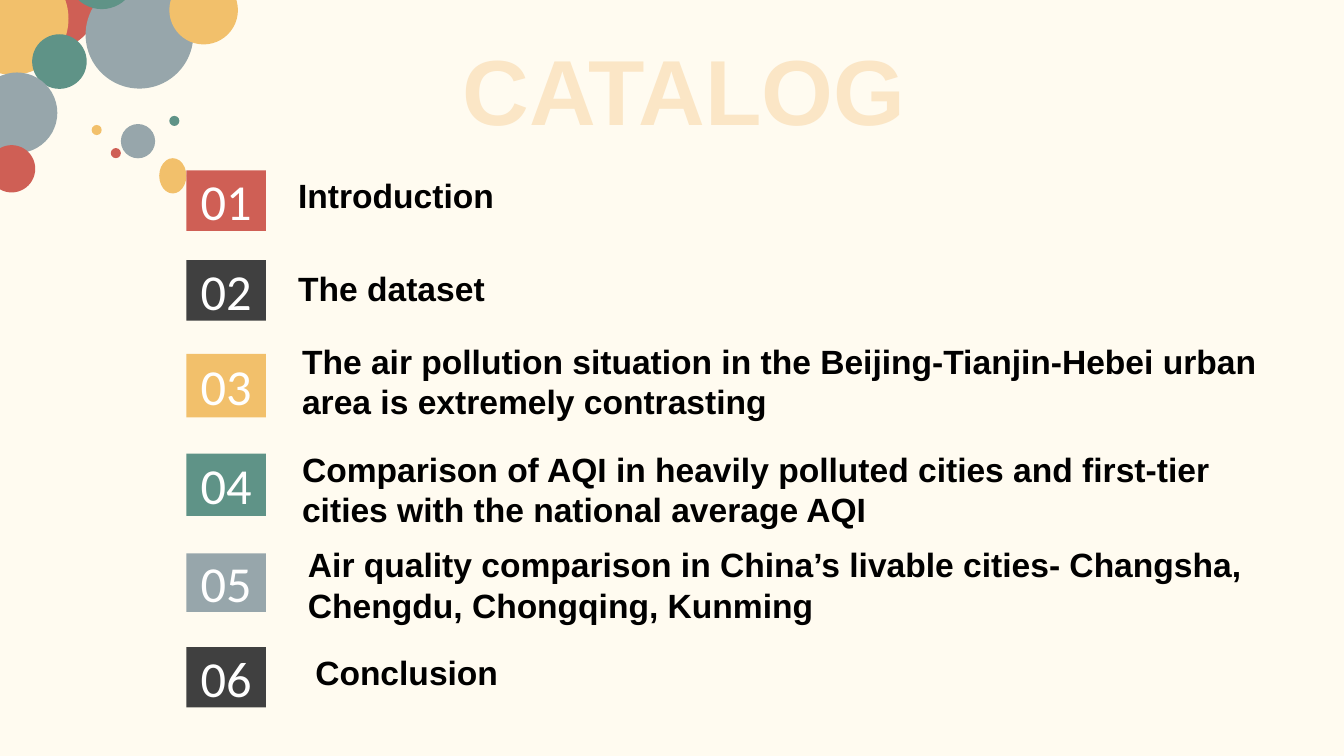
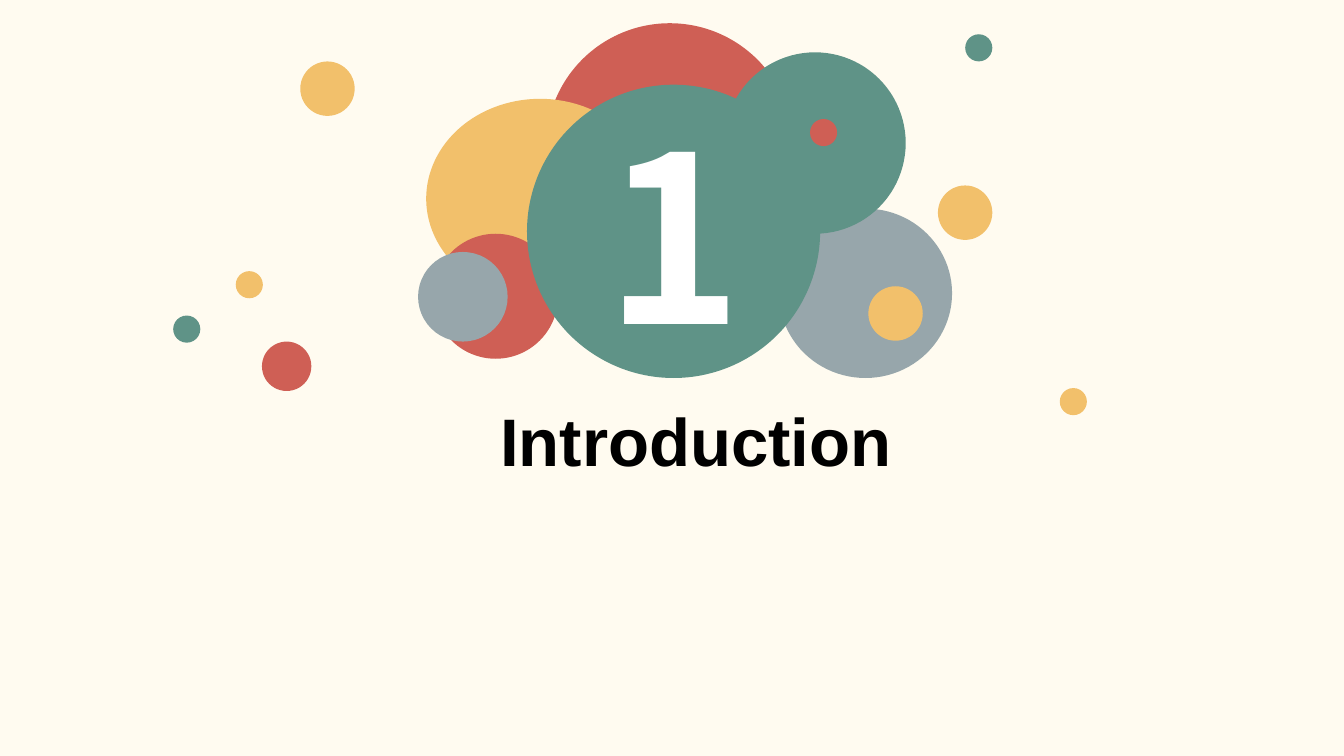
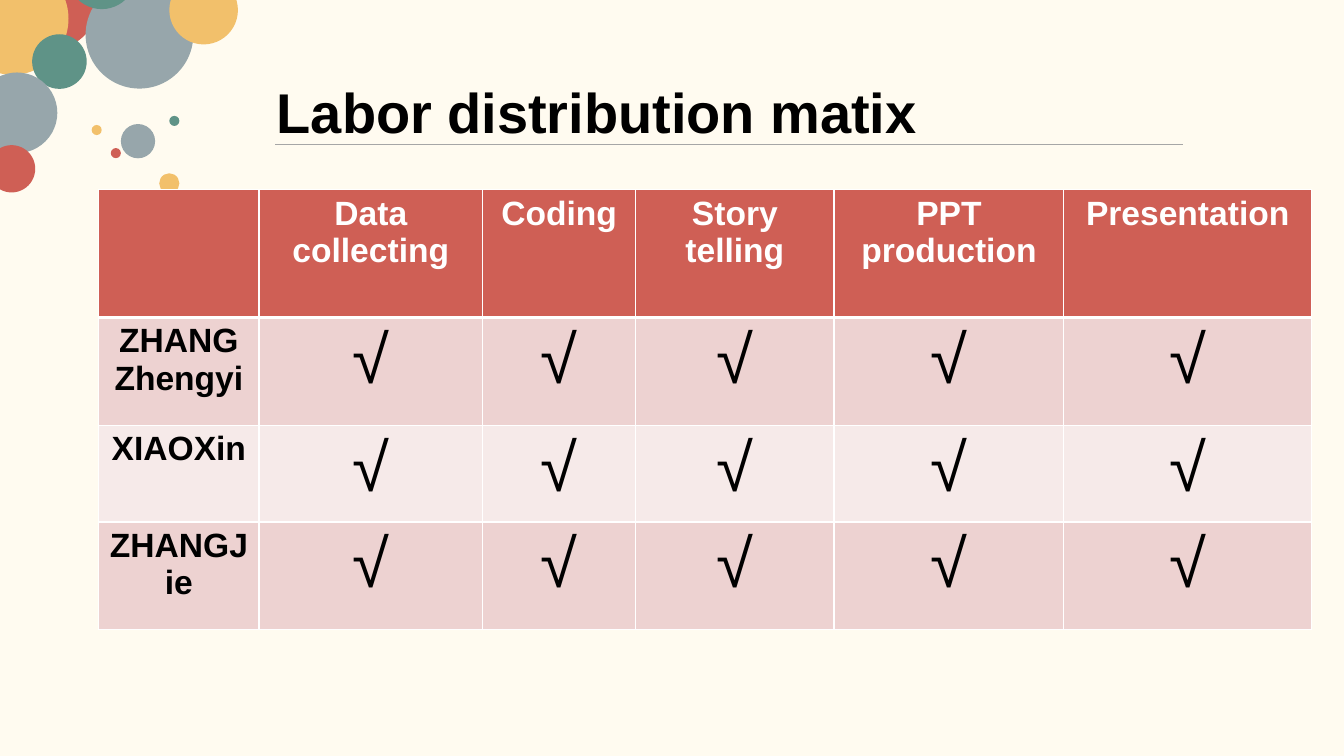
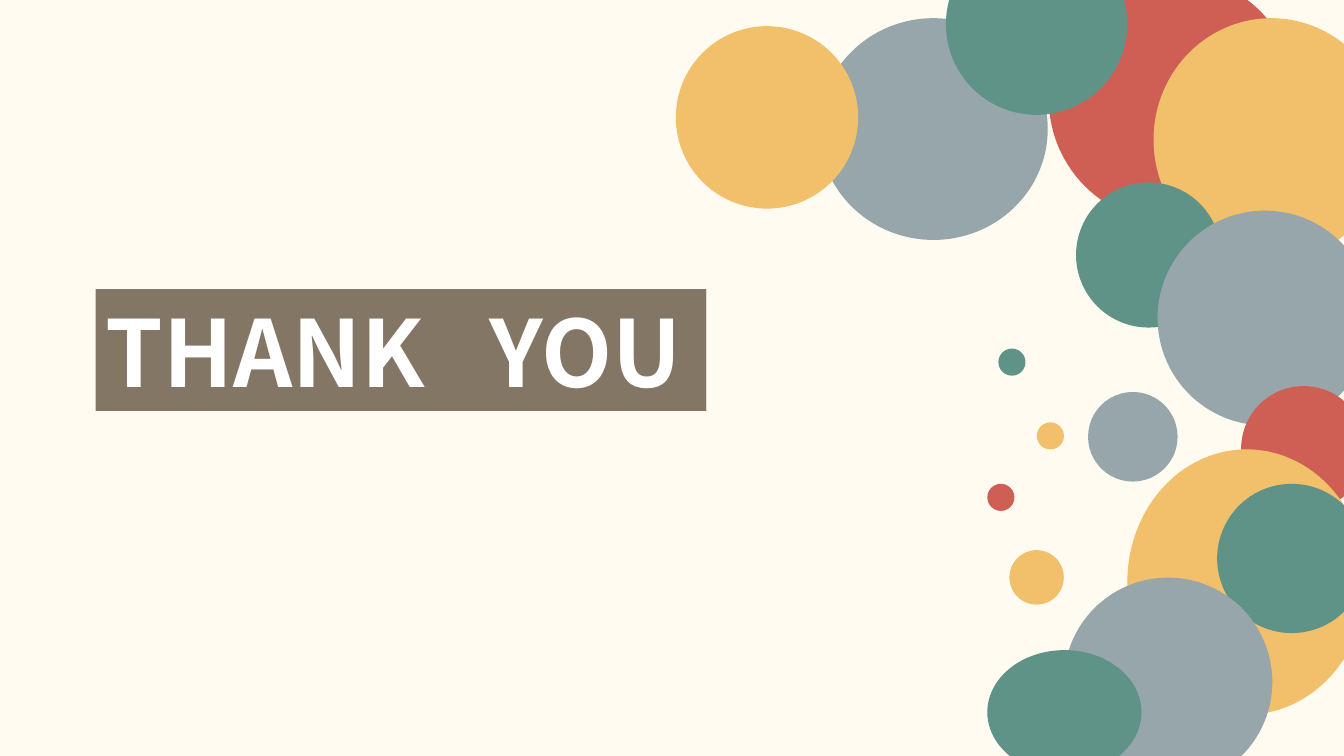
from pptx import Presentation
from pptx.dml.color import RGBColor
from pptx.enum import shapes, text
from pptx.oxml import parse_xml
from pptx.oxml import ns
from pptx.util import Pt

CREAM = RGBColor(0xFF, 0xFB, 0xF0)
RED = RGBColor(0xCF, 0x5F, 0x55)
GOLD = RGBColor(0xF2, 0xC0, 0x6B)
TEAL = RGBColor(0x5F, 0x93, 0x87)
SLATE = RGBColor(0x97, 0xA6, 0xAB)
DARK = RGBColor(0x40, 0x40, 0x40)
BROWN = RGBColor(0x83, 0x76, 0x64)
PEACH = RGBColor(0xFB, 0xE6, 0xC6)
PINK = RGBColor(0xED, 0xD2, 0xD1)
PALE = RGBColor(0xF6, 0xEA, 0xE9)
GREY = RGBColor(0xA6, 0xA6, 0xA6)
BLACK = RGBColor(0, 0, 0)
WHITE = RGBColor(0xFF, 0xFF, 0xFF)

SANS, NUM, CJK = "Arial", "Calibri", "Noto Sans CJK SC"
OVAL, RECT = shapes.MSO_SHAPE.OVAL, shapes.MSO_SHAPE.RECTANGLE
LEFT, MID = text.PP_ALIGN.LEFT, text.PP_ALIGN.CENTER

deck = Presentation()
deck.slide_width, deck.slide_height = Pt(960.48), Pt(540)
blank = deck.slide_layouts[6]
back = deck.slide_master.background.fill
back.solid()
back.fore_color.rgb = CREAM


def draw(home, kind, color, x, y, wide, high):
    """Add a flat filled shape without outline or shadow."""
    shape = home.add_shape(kind, Pt(x), Pt(y), Pt(wide), Pt(high))
    shape.shadow.inherit = False
    shape.fill.solid()
    shape.fill.fore_color.rgb = color
    shape.line.fill.background()
    return shape


def write(frame, words, size, color=BLACK, font=SANS, bold=True, align=LEFT, lead=None):
    """Fill a text frame, one paragraph per line of words."""
    frame.word_wrap = True
    for i, line in enumerate(words.split("\n")):
        par = frame.add_paragraph() if i else frame.paragraphs[0]
        par.alignment = align
        if lead:
            par.line_spacing = Pt(size * lead)
        run = par.add_run()
        run.text = line
        run.font.name, run.font.size = font, Pt(size)
        run.font.bold, run.font.color.rgb = bold, color


# Bubbles: colour, left, top, width and, for ovals, height
corner = [
    (RED, 3, -31.7, 67), (GOLD, -31, -26.6, 80), (TEAL, 23, 24.5, 39),
    (SLATE, -16.6, 51.8, 57.6), (SLATE, 61.2, -13.7, 77), (TEAL, 48.2, -42.5, 49),
    (RED, -8.6, 103.7, 33.8), (SLATE, 86.4, 88.6, 24.5), (RED, 79.2, 105.8, 7.2),
    (GOLD, 65.5, 89.3, 7.2), (TEAL, 121, 82.8, 7.2), (GOLD, 121, -17.3, 49),
]
crown = [
    (RED, 390.2, 16.6, 177), (GOLD, 304.6, 70.6, 162.7, 142.6),
    (SLATE, 556.6, 149, 123.8, 121), (TEAL, 517.7, 37.4, 129.6),
    (RED, 309.6, 167, 89.3), (GOLD, 214.6, 43.9, 38.9), (SLATE, 298.8, 180, 64),
    (RED, 187.2, 244, 35.3), (GOLD, 168.5, 193.7, 19.4), (TEAL, 123.8, 225.4, 19.4),
    (GOLD, 620.6, 204.5, 38.9), (RED, 578.9, 85, 19.4), (GOLD, 757.4, 277.2, 19.4),
    (TEAL, 689.8, 24.5, 19.4), (GOLD, 670.3, 132.5, 38.9),
]
side = [
    (RED, 749.5, -18, 177), (GOLD, 824.4, 13, 168.5, 173.5), (TEAL, 769, 130.3, 103.7),
    (SLATE, 827.3, 150.5, 153.4), (SLATE, 585.4, 13, 163.4, 158.4),
    (TEAL, 676, -47.5, 129.6), (RED, 887, 275.8, 89.3),
    (GOLD, 805.7, 321, 170.6, 189.4), (TEAL, 869.8, 345.6, 106.6),
    (SLATE, 760.3, 412.6, 149), (TEAL, 705.6, 464.4, 110.2, 88.6),
    (SLATE, 777.6, 280, 64), (RED, 705.6, 345.6, 19.4), (GOLD, 741, 301.7, 19.4),
    (TEAL, 713.5, 249, 19.4), (GOLD, 721.4, 393, 38.9), (GOLD, 483, 18.7, 130.3),
]

# Titles: words, size, colour, alignment, box
titles = [
    ("CATALOG", 66, PEACH, MID, (288.7, 20, 400, 87)),
    ("Introduction", 48, BLACK, MID, (-8.6, 281.5, 1012.3, 65.5)),
    ("Labor distribution matix", 40, BLACK, LEFT, (190.8, 51.8, 545, 55.4)),
    None,
]

# Every slide: its bubbles and title
drops = [
    corner + [(GOLD, 113.8, 113, 19.4, 25.2)],
    crown,
    corner + [(GOLD, 113.8, 123.8, 14.4)],
    side,
]
pages = []
for dots, title in zip(drops, titles):
    page = deck.slides.add_slide(blank).shapes
    pages.append(page)
    group = page.add_group_shape().shapes
    for color, x, y, wide, *high in dots:
        draw(group, OVAL, color, x, y, wide, high[0] if high else wide)
    if title:
        words, size, color, align, box = title
        label = page.add_textbox(*map(Pt, box))
        write(label.text_frame, words, size, color, align=align, lead=1.2)
list_page, part_page, team_page, end_page = pages

# Slide 1: numbered contents; tile top and height, then text box
items = [
    (RED, 121.7, 43.2, "Introduction", (206, 121.7, 260.6, 36)),
    (DARK, 185.8, 43.2, "The dataset", (206, 188, 260.6, 36)),
    (GOLD, 252.7, 45.4, "The air pollution situation in the Beijing-Tianjin-Hebei urban "
     "area is extremely contrasting", (208.8, 239.8, 709.2, 76.3)),
    (TEAL, 324, 44.6, "Comparison of AQI in heavily polluted cities and first-tier "
     "cities with the national average AQI", (208.8, 316.8, 669, 65.5)),
    (SLATE, 395.3, 41.8, "Air quality comparison in China’s livable cities- Changsha, "
     "Chengdu, Chongqing, Kunming", (213, 385.2, 705, 65.5)),
    (DARK, 462.2, 43.2, "Conclusion", (218.2, 462.2, 669, 36)),
]
for i, (color, top, high, words, box) in enumerate(items, 1):
    tile = draw(list_page, RECT, color, 133.2, top, 56.9, high)
    write(tile.text_frame, f"{i:02}", 36, WHITE, NUM, False, MID)
    label = list_page.add_textbox(*map(Pt, box))
    write(label.text_frame, words, 24, lead=1.2)

# Slide 2: big section number
disc = draw(part_page, OVAL, TEAL, 376.6, 60.5, 209.5, 209.5)
write(disc.text_frame, "1", 166, WHITE, CJK, align=MID)

# Slide 3: rule under the title
rule = team_page.add_connector(shapes.MSO_CONNECTOR.STRAIGHT,
                               Pt(196.6), Pt(103), Pt(845.3), Pt(103))
rule.line.color.rgb, rule.line.width = GREY, Pt(0.5)
rule.element.spPr.append(parse_xml(f"<a:effectLst {ns.nsdecls('a')}/>"))

# Slide 3: table of tasks
tasks = ["", "Data collecting", "Coding", "Story\ntelling", "PPT\nproduction", "Presentation"]
names = ["ZHANG Zhengyi", "XIAOXin", "ZHANGJie"]
rows = [tasks] + [[name] + ["√"] * 5 for name in names]
wides = [114.5, 159.8, 109.4, 141.8, 164.2, 177.1]
highs = [91.4, 77, 69.1, 77]
table = team_page.add_table(4, 6, Pt(70.6), Pt(135.4), Pt(sum(wides)), Pt(sum(highs))).table
for col, wide in zip(table.columns, wides):
    col.width = Pt(wide)
for r, (row, high, color) in enumerate(zip(rows, highs, [RED, PINK, PALE, PINK])):
    table.rows[r].height = Pt(high)
    for c, words in enumerate(row):
        cell = table.cell(r, c)
        props = cell._tc.get_or_add_tcPr()
        for edge in "LRTB":
            thick = 3 if (r, edge) in [(0, "B"), (1, "T")] else 1
            props.append(parse_xml(
                f'<a:ln{edge} {ns.nsdecls("a")} w="{Pt(thick)}"><a:solidFill>'
                f'<a:srgbClr val="{WHITE}"/></a:solidFill></a:ln{edge}>'))
        cell.fill.solid()
        cell.fill.fore_color.rgb = color
        tick = words == "√"
        if words:
            write(cell.text_frame, words, 48 if tick else 24, BLACK if r else WHITE,
                  bold=not tick, align=MID)

# Slide 4: closing words
for words, x, wide in [("THANK", 68.4, 436.3), ("YOU", 342.7, 162)]:
    band = draw(end_page, RECT, BROWN, x, 206.6, wide, 87)
    write(band.text_frame, words, 66, WHITE, CJK)

deck.save("out.pptx")
